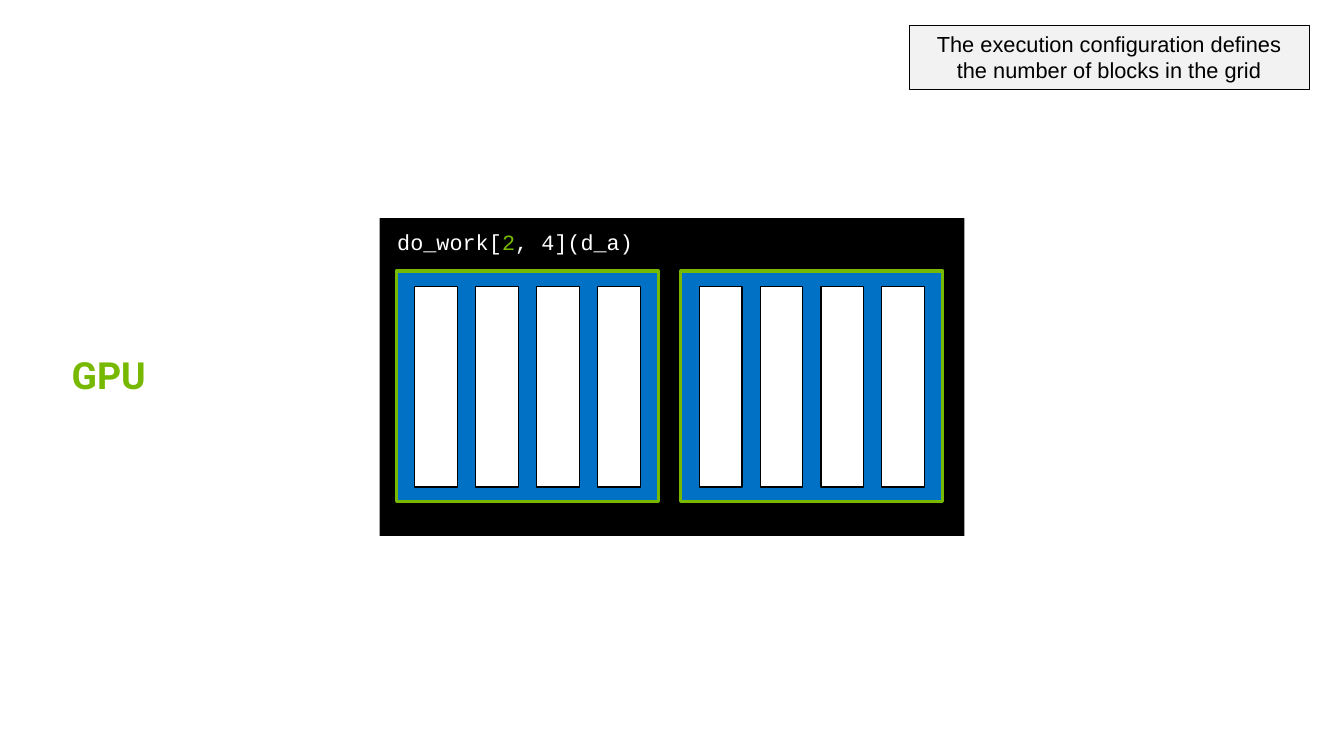
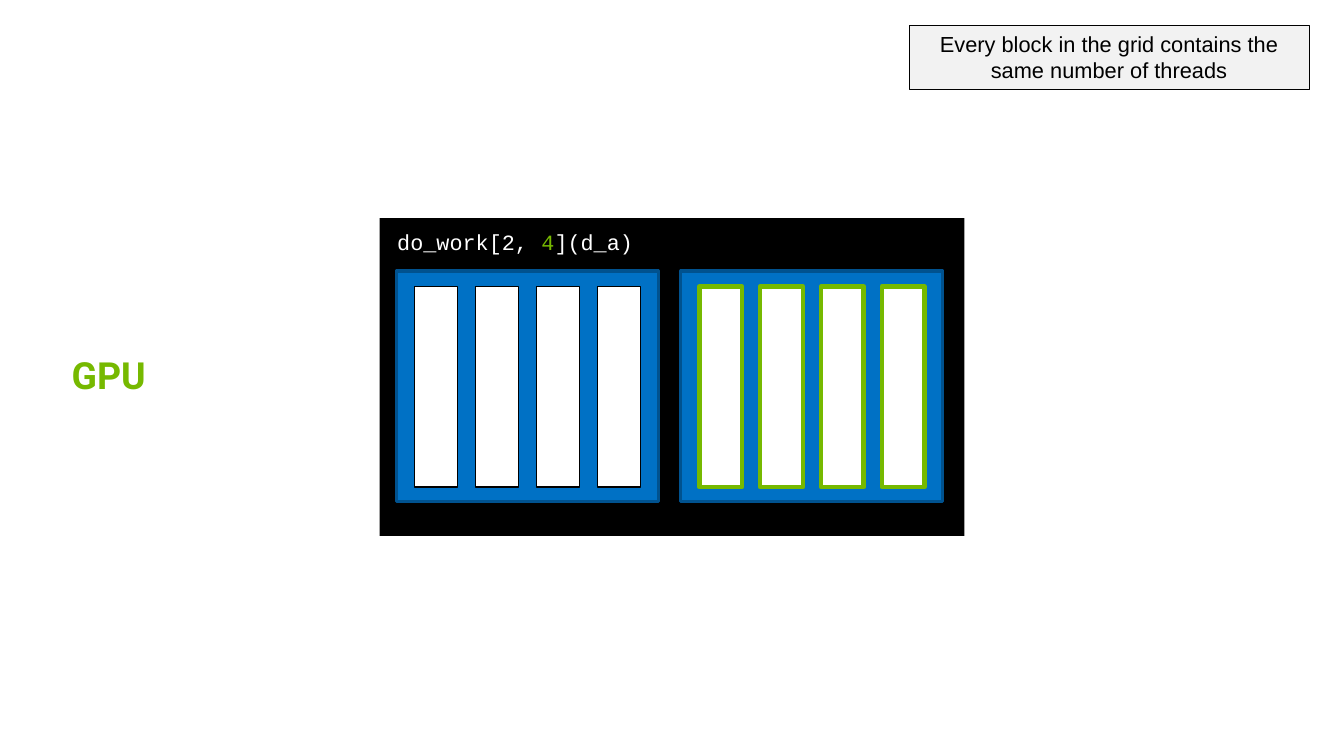
from pptx import Presentation
from pptx.dml.color import RGBColor
from pptx.enum.shapes import MSO_SHAPE
from pptx.enum.text import MSO_ANCHOR, MSO_AUTO_SIZE, PP_ALIGN
from pptx.util import Cm, Pt

GREEN, BLUE, NAVY = "76B900", "0071C5", "00528F"
BLACK, WHITE, GREY = "000000", "FFFFFF", "F2F2F2"
BLOCKS, THREADS = 2, 4
PANEL = (8.61, 4.95, 13.26, 7.21)
NOTE = (20.62, 0.58, 9.07, 1.45)
TITLE = (1.37, 7.98, 2.46, 1.17)


def paint(item, color):
    """Set a solid colour on a fill."""
    item.solid()
    item.fore_color.rgb = RGBColor.from_string(color)


def style(run, font, size, color, bold=False):
    """Format one run."""
    run.font.name = font
    run.font.size = Pt(size)
    run.font.bold = bold
    paint(run.font.fill, color)


def rect(shapes, box, fill, line=None, width=0.75):
    """Add a flat rectangle with an optional outline."""
    shape = shapes.add_shape(MSO_SHAPE.RECTANGLE, *map(Cm, box))
    shape.shadow.inherit = False
    paint(shape.fill, fill)
    if line:
        paint(shape.line.fill, line)
        shape.line.width = Pt(width)
    else:
        shape.line.fill.background()
    return shape


def add_title(slide, box):
    """Place the label in the title placeholder."""
    title = slide.shapes.title
    title.left, title.top, title.width, title.height = map(Cm, box)
    frame = title.text_frame
    frame.text = "GPU"
    frame.auto_size = MSO_AUTO_SIZE.NONE
    frame.vertical_anchor = MSO_ANCHOR.BOTTOM
    para = frame.paragraphs[0]
    para.alignment = PP_ALIGN.LEFT
    para.line_spacing = 0.9
    style(para.runs[0], "Roboto", 24, GREEN, True)


def add_note(slide, box, text):
    """Add the remark in its grey box."""
    frame = rect(slide.shapes, box, GREY, BLACK).text_frame
    frame.text = text
    frame.vertical_anchor = MSO_ANCHOR.TOP
    para = frame.paragraphs[0]
    para.alignment = PP_ALIGN.CENTER
    style(para.runs[0], "Arial", 14, BLACK)


def add_code(shapes, box, parts):
    """Add the call, with its middle part in green."""
    frame = rect(shapes, box, BLACK).text_frame
    frame.vertical_anchor = MSO_ANCHOR.MIDDLE
    para = frame.paragraphs[0]
    para.alignment = PP_ALIGN.LEFT
    for text, color in zip(parts, (WHITE, GREEN, WHITE)):
        run = para.add_run()
        run.text = text
        style(run, "Courier New", 14, color)


def add_block(shapes, box, edge, thread):
    """Add one block with its row of threads."""
    left, top, wide, high = box
    rect(shapes, box, BLUE, edge, 2)
    for col in range(THREADS):
        spot = (left + 0.42 + col * 1.38, top + 0.35, 0.97, high - 0.68)
        rect(shapes, spot, WHITE, *thread)


def add_grid(slide, box, parts, edge, threads):
    """Add the black panel with the call and its blocks."""
    shapes = slide.shapes.add_group_shape().shapes
    left, top, wide, high = box
    rect(shapes, box, BLACK)
    add_code(shapes, (left + 0.15, top + 0.1, 7.77, 0.86), parts)
    for col in range(BLOCKS):
        spot = (left + 0.38 + col * 6.45, top + 1.2, 5.94, 5.23)
        add_block(shapes, spot, edge, threads[col])


def add_page(deck, note, parts, edge, threads):
    """Build one slide."""
    slide = deck.slides.add_slide(deck.slide_layouts[5])
    add_title(slide, TITLE)
    add_grid(slide, PANEL, parts, edge, threads)
    add_note(slide, NOTE, note)


def main():
    """Build and save the deck."""
    deck = Presentation()
    deck.slide_width, deck.slide_height = Cm(30.48), Cm(17.15)
    plain, bright = (BLACK, 0.75), (GREEN, 3)
    add_page(deck, "The execution configuration defines the number of blocks in the grid",
             ("do_work[", "2", ", 4](d_a)"), GREEN, (plain, plain))
    add_page(deck, "Every block in the grid contains the same number of threads",
             ("do_work[2, ", "4", "](d_a)"), NAVY, (plain, bright))
    deck.save("out.pptx")


if __name__ == "__main__":
    main()
